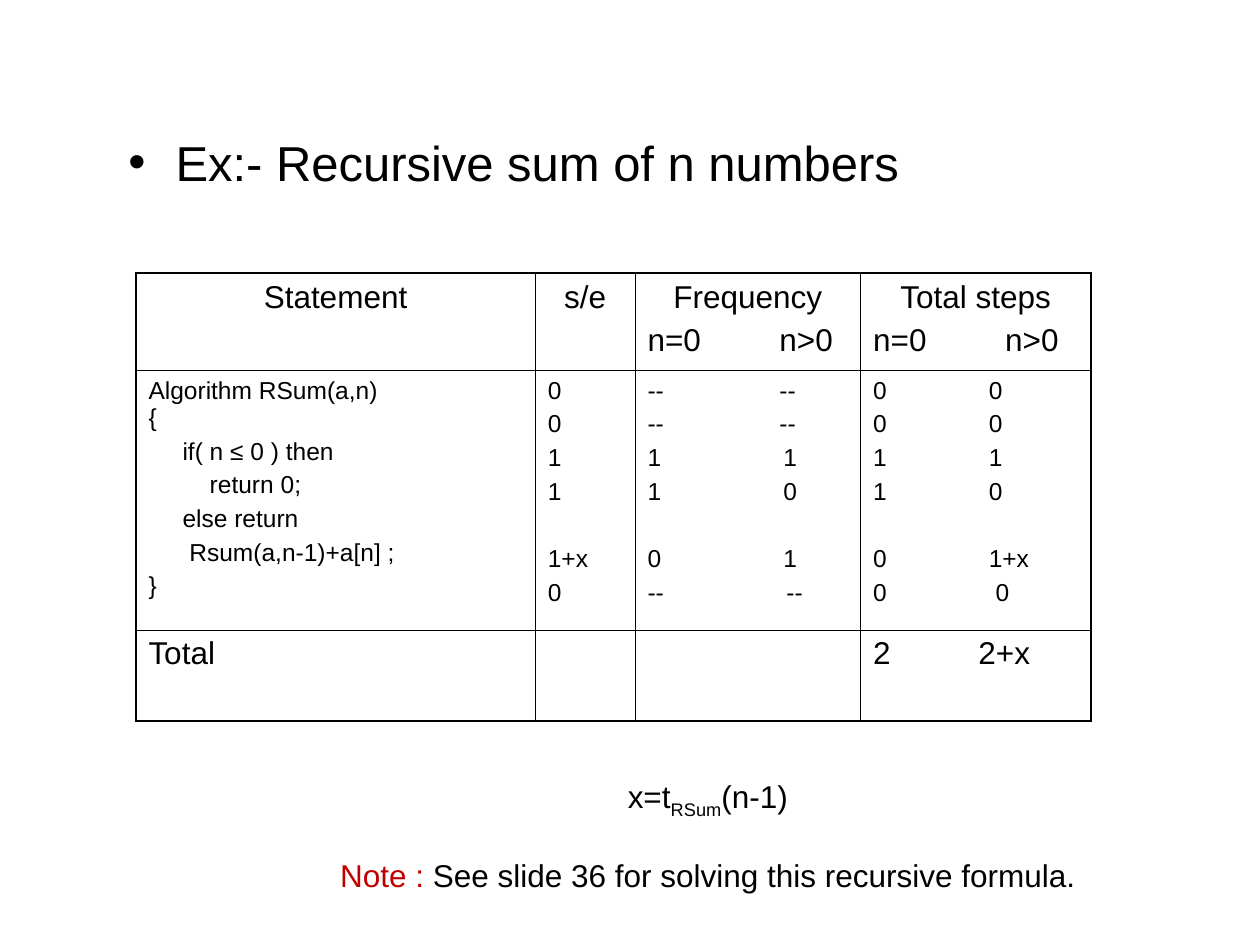
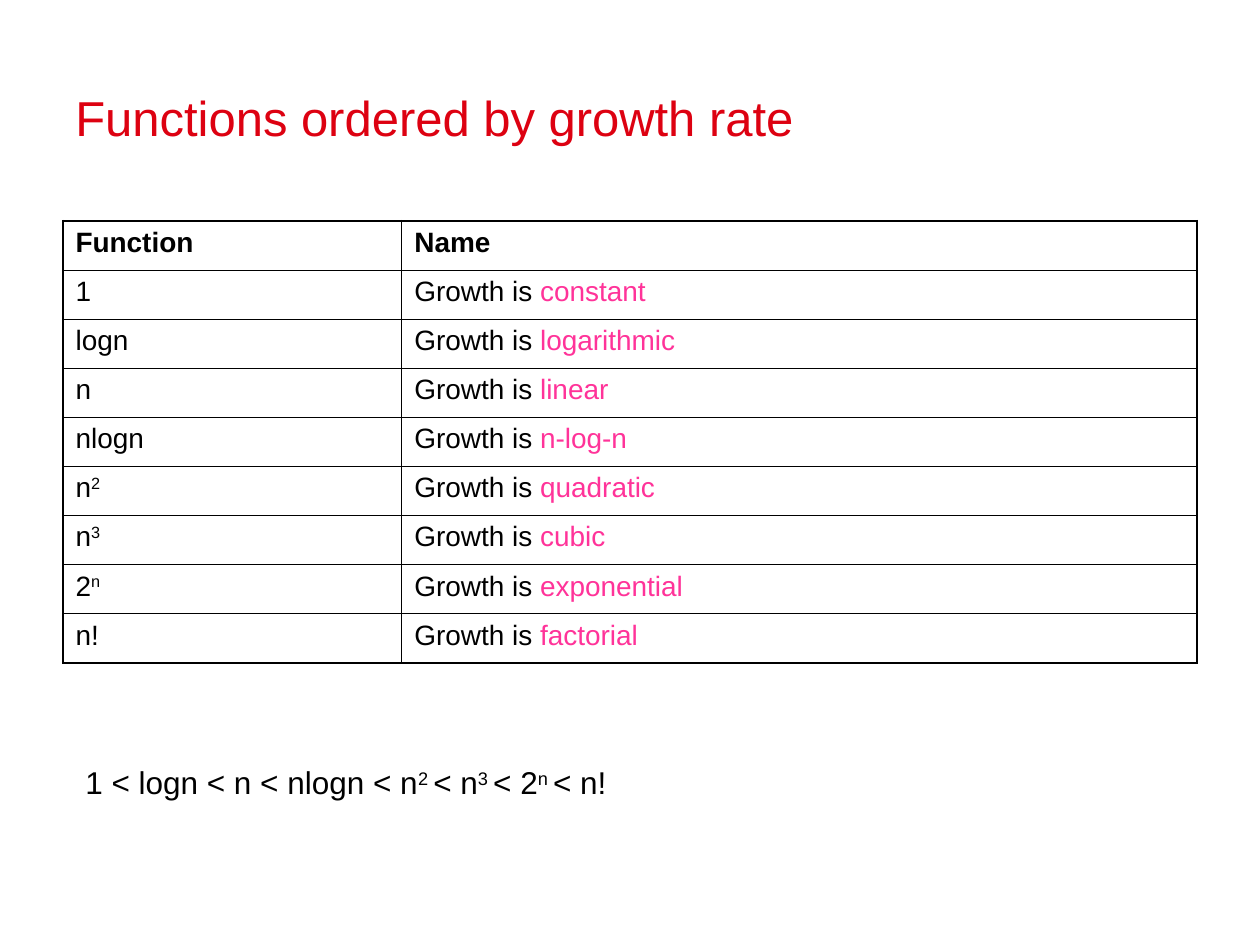
"""Build two slides on step counts and growth rates."""
from lxml import etree
from pptx import Presentation
from pptx.dml.color import RGBColor
from pptx.enum.shapes import MSO_SHAPE
from pptx.enum.text import MSO_ANCHOR, PP_ALIGN
from pptx.oxml.ns import qn
from pptx.util import Cm, Pt

LEFT, CENTER = PP_ALIGN.LEFT, PP_ALIGN.CENTER
MIDDLE = MSO_ANCHOR.MIDDLE
RECTANGLE = MSO_SHAPE.RECTANGLE

FONT = "Arial"
COLOURS = {"text": "000000", "title": "DD0111", "note": "C00000",
           "growth": "FF3399", "paper": "FFFFFF"}
BASELINES = {"sub": "-25000", "sup": "30000"}
TITLE_SIZE, BODY_SIZE, FUNCTION_SIZE, CODE_SIZE = 28, 18, 16, 14
OUTER, INNER = 1.08, 0.45


def write(para, spans, size, gap=0, align=LEFT, tab=None):
    """Fill a paragraph with (text, style) spans and an optional tab stop in cm."""
    if tab:
        stops = etree.SubElement(para._p.get_or_add_pPr(), qn("a:tabLst"))
        etree.SubElement(stops, qn("a:tab"), pos=str(Cm(tab)), algn="l")
    para.alignment = align
    para.space_before = Pt(gap)
    for text, style in spans:
        span = para.add_run()
        span.text = text
        span.font.name = FONT
        span.font.size = Pt(size)
        span.font.bold = style == "bold"
        span.font.color.rgb = RGBColor.from_string(COLOURS.get(style, COLOURS["text"]))
        if style in BASELINES:
            span._r.get_or_add_rPr().set("baseline", BASELINES[style])


def add_grid(page, left, top, widths, heights):
    """Add an unfilled table with a heavier outer border."""
    rows, columns = len(heights), len(widths)
    table = page.shapes.add_table(rows, columns, Cm(left), Cm(top),
                                  Cm(sum(widths)), Cm(sum(heights))).table
    table.first_row = table.horz_banding = False
    for column, width in zip(table.columns, widths):
        column.width = Cm(width)
    for row, height in zip(table.rows, heights):
        row.height = Cm(height)
    for r in range(rows):
        for c in range(columns):
            cell = table.cell(r, c)
            edges = {"lnL": c == 0, "lnR": c == columns - 1,
                     "lnT": r == 0, "lnB": r == rows - 1}
            for edge, is_outer in edges.items():
                line = etree.SubElement(cell._tc.get_or_add_tcPr(), qn("a:" + edge),
                                        w=str(Pt(OUTER if is_outer else INNER)))
                fill = etree.SubElement(line, qn("a:solidFill"))
                etree.SubElement(fill, qn("a:srgbClr"), val=COLOURS["text"])
            cell.fill.background()
    return table


deck = Presentation()
deck.slide_width, deck.slide_height = Cm(25.4), Cm(19.05)
blank = deck.slide_layouts[6]
steps_page, growth_page = deck.slides.add_slide(blank), deck.slides.add_slide(blank)

headings = [
    (steps_page, (2.34, 2.54, 16.94, 2.41), "Ex:- Recursive sum of n numbers", "text"),
    (growth_page, (1.27, 0.76, 22.86, 3.18), "Functions ordered by growth rate", "title"),
]
for page, place, text, style in headings:
    box = page.shapes.add_textbox(*map(Cm, place))
    box.text_frame.word_wrap = True
    para = box.text_frame.paragraphs[0]
    if style == "title":
        box.text_frame.vertical_anchor = MIDDLE
    else:
        properties = para._p.get_or_add_pPr()
        properties.set("marL", str(Cm(0.95)))
        properties.set("indent", str(Cm(-0.95)))
        etree.SubElement(properties, qn("a:buFont"), typeface=FONT)
        etree.SubElement(properties, qn("a:buChar"), char="•")
    write(para, [(text, style)], TITLE_SIZE)

steps = add_grid(steps_page, 2.74, 5.51, [8.05, 2.01, 4.55, 4.64], [1.96, 5.23, 1.83])
for column, label in enumerate(["Statement", "s/e", "Frequency", "Total steps"]):
    frame = steps.cell(0, column).text_frame
    write(frame.paragraphs[0], [(label, "text")], BODY_SIZE, align=CENTER)
    if column > 1:
        write(frame.add_paragraph(), [("n=0\tn>0", "text")], BODY_SIZE, 4.5, tab=2.66)

code = ["Algorithm RSum(a,n)", "{", "     if( n ≤ 0 ) then", "         return 0;",
        "     else return", "      Rsum(a,n-1)+a[n] ;", "}"]
for number, text in enumerate(code):
    frame = steps.cell(1, 0).text_frame
    para = frame.add_paragraph() if number else frame.paragraphs[0]
    write(para, [(text, "text")], CODE_SIZE, 3.5 if number > 1 else 0)

counts = [
    (["0", "0", "1", "1", "1+x", "0"], [None] * 6),
    (["--\t--", "--\t--", "1\t1", "1\t0", "0\t1", "--\t--"],
     [2.66, 2.66, 2.74, 2.74, 2.74, 2.8]),
    (["0\t0", "0\t0", "1\t1", "1\t0", "0\t1+x", "0\t0"], [2.33] * 5 + [2.47]),
]
count_gaps = [0, 3.5, 3.5, 3.5, 23.1, 3.5]
for column, (texts, tabs) in enumerate(counts, 1):
    frame = steps.cell(1, column).text_frame
    for number, (text, tab, gap) in enumerate(zip(texts, tabs, count_gaps)):
        para = frame.add_paragraph() if number else frame.paragraphs[0]
        write(para, [(text, "text")], CODE_SIZE, gap, tab=tab)

for column, text in [(0, "Total"), (3, "2\t2+x")]:
    para = steps.cell(2, column).text_frame.paragraphs[0]
    write(para, [(text, "text")], BODY_SIZE, tab=2.12 if column else None)

functions = [
    ("1", "", "constant"), ("logn", "", "logarithmic"), ("n", "", "linear"),
    ("nlogn", "", "n-log-n"), ("n", "2", "quadratic"), ("n", "3", "cubic"),
    ("2", "n", "exponential"), ("n!", "", "factorial"),
]
growth_rows = [([("Function", "bold")], [("Name", "bold")])]
for base, power, growth in functions:
    formula = [(base, "text")] + ([(power, "sup")] if power else [])
    growth_rows.append((formula, [("Growth is ", "text"), (growth, "growth")]))
rates = add_grid(growth_page, 1.27, 4.45, [6.83, 16.03], [0.99] * len(growth_rows))
for row, cells in enumerate(growth_rows):
    for column, spans in enumerate(cells):
        write(rates.cell(row, column).text_frame.paragraphs[0], spans, FUNCTION_SIZE)

remarks = [
    (steps_page, (6.55, 15.04, 15.44, 3.61), CENTER, [
        [("x=t", "text"), ("RSum", "sub"), ("(n-1)", "text")],
        [("Note : ", "note"),
         ("See slide 36 for solving this recursive formula.", "text")]]),
    (growth_page, (1.47, 14.4, 22.43, 2.74), LEFT, [
        [("1 < logn < n < nlogn < n", "text"), ("2 ", "sup"), ("< n", "text"),
         ("3 ", "sup"), ("< 2", "text"), ("n ", "sup"), ("< n!", "text")]]),
]
for page, place, align, lines in remarks:
    box = page.shapes.add_shape(RECTANGLE, *map(Cm, place))
    box.shadow.inherit = False
    box.fill.solid()
    box.fill.fore_color.rgb = RGBColor.from_string(COLOURS["paper"])
    box.line.color.rgb = RGBColor.from_string(COLOURS["paper"])
    box.line.width = Pt(0.75)
    frame = box.text_frame
    frame.word_wrap = True
    frame.vertical_anchor = MIDDLE
    for number, spans in enumerate(lines):
        para = frame.add_paragraph() if number else frame.paragraphs[0]
        write(para, spans, BODY_SIZE, 20.7 if number else 0, align)

deck.save("out.pptx")
